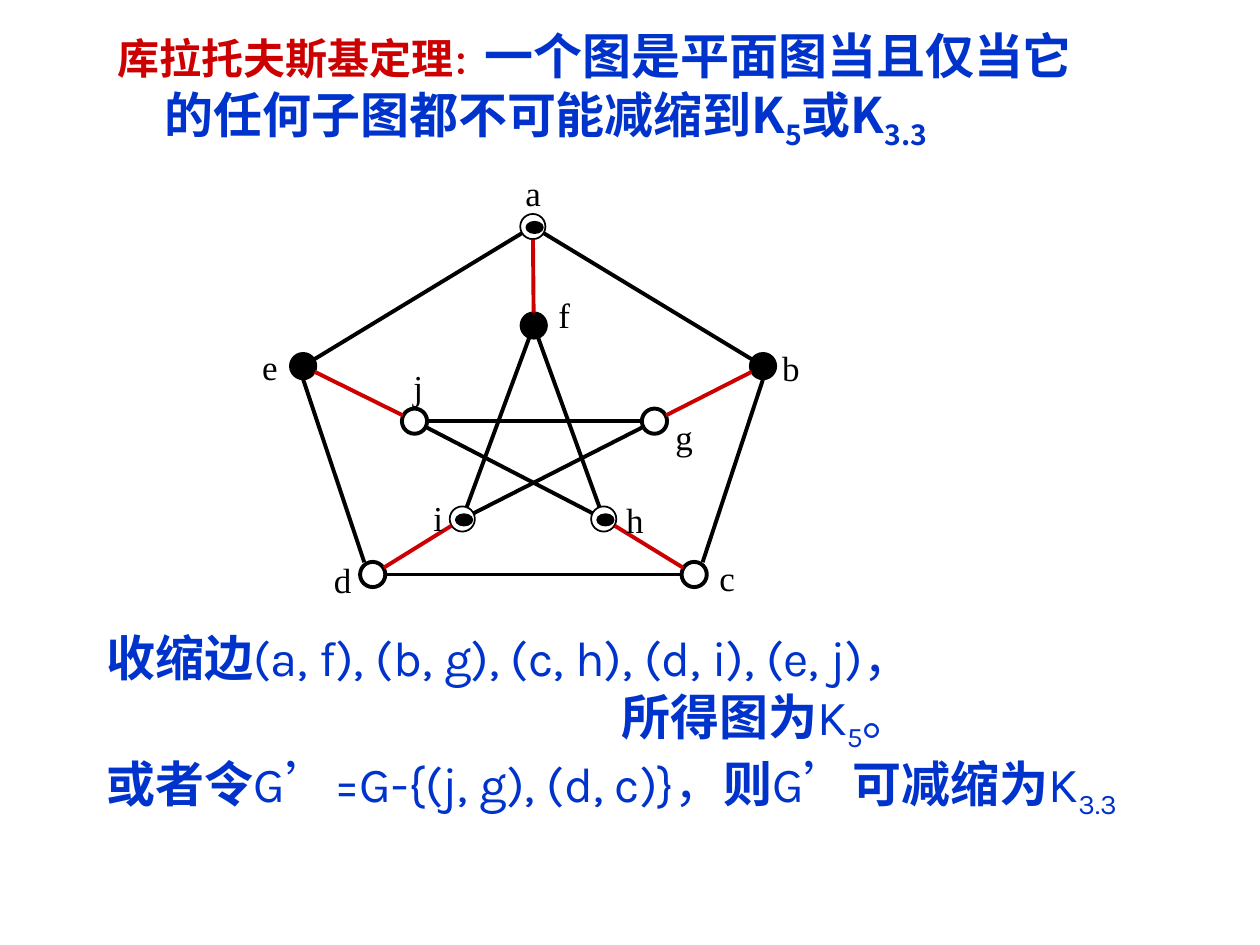
from math import hypot
from lxml.etree import SubElement
from pptx import Presentation
from pptx.dml.color import RGBColor
from pptx.enum.shapes import MSO_CONNECTOR as Link, MSO_SHAPE as Shape
from pptx.enum.text import MSO_ANCHOR as Anchor, MSO_AUTO_SIZE as Auto
from pptx.oxml.ns import qn
from pptx.util import Pt

RED = RGBColor(0xCC, 0, 0)
BLUE = RGBColor(0, 0x33, 0xCC)
BLACK = RGBColor(0, 0, 0)
CJK, SERIF, SANS = "Noto Sans CJK SC", "Times New Roman", "Karla"

# Text runs: text, size, font, colour, bold, subscript
THEOREM = [
    ("库拉托夫斯基定理", 24, "Arial", RED, True, False),
    ("：", 18, "Arial", RED, True, False),
    ("一个图是平面图当且仅当它的任何子图都不可能减缩到K", 28, CJK, BLUE, True, False),
    ("5", 28, CJK, BLUE, True, True),
    ("或K", 28, CJK, BLUE, True, False),
    ("3.3", 28, CJK, BLUE, True, True),
]
# Conclusion: first-line indent, then runs of text, bold, subscript
RESULT = [
    (0, [("收缩边", True, False),
         ("(a, f), (b, g), (c, h), (d, i), (e, j)，", False, False)]),
    (294, [("所得图为", True, False), ("K", False, False),
           ("5", False, True), ("。", False, False)]),
    (0, [("或者令", True, False), ("G’=G-{(j, g), (d, c)}，", False, False),
         ("则", True, False), ("G’", False, False), ("可减缩为", True, False),
         ("K", False, False), ("3.3", False, True)]),
]
# Vertices: centre, kind, label corner
NODES = {
    "a": (304.5, 129.5, "ring", 300.2, 97.9),
    "b": (436, 209.2, "full", 447, 198),
    "c": (396.7, 328.3, "open", 411.1, 318.2),
    "d": (213, 328.3, "open", 190.8, 319),
    "e": (173.2, 209.2, "full", 149.8, 197.3),
    "f": (305, 186, "full", 319, 167.8),
    "g": (374, 240.7, "open", 386, 237.6),
    "h": (345, 296.6, "ring", 357.8, 285.1),
    "i": (264.2, 296.6, "ring", 247.7, 283.7),
    "j": (236.9, 240.7, "open", 236.2, 208.8),
}
OUTER = ["ea", "ab", "cb", "ed", "dc"]
STAR = ["if", "fh", "jg", "jh", "ig"]
SPOKES = ["af", "bg", "ch", "di", "ej"]
SHIFT = {"cb": 2.5, "ed": -2.5}  # steep sides sit slightly outward
RADIUS = 7.4


def add_run(para, text, size, name, color, bold=False, sub=False):
    run = para.add_run()
    run.text = text
    font = run.font
    font.size, font.name, font.bold = Pt(size), name, bold
    font.color.rgb = color
    props = run._r.get_or_add_rPr()
    SubElement(props, qn("a:ea")).set("typeface", SERIF if name == SERIF else CJK)
    if sub:
        props.set("baseline", "-25000")


def add_oval(group, x, y, w, h, weight, filled):
    oval = group.shapes.add_shape(
        Shape.OVAL, Pt(x - w / 2), Pt(y - h / 2), Pt(w), Pt(h))
    oval.shadow.inherit = False
    oval.line.color.rgb = BLACK
    oval.line.width = Pt(weight)
    if filled:
        oval.fill.solid()
        oval.fill.fore_color.rgb = BLACK
    else:
        oval.fill.background()


def add_node(group, x, y, kind):
    if kind == "ring":
        add_oval(group, x + 1, y + 0.5, 9.4, 6.5, 1, True)
    weight = 2.25 if kind == "open" else 1
    size = 15.1 if kind == "full" else 14.4
    add_oval(group, x, y, size, size, weight, kind == "full")


def add_edge(group, pair, color):
    (x1, y1), (x2, y2) = (NODES[key][:2] for key in pair)
    dist = hypot(x2 - x1, y2 - y1)
    dx, dy = RADIUS * (x2 - x1) / dist, RADIUS * (y2 - y1) / dist
    move = SHIFT.get(pair, 0)
    edge = group.shapes.add_connector(
        Link.STRAIGHT, Pt(x1 + dx + move), Pt(y1 + dy),
        Pt(x2 - dx + move), Pt(y2 - dy))
    edge.line.color.rgb = color
    edge.line.width = Pt(2.25)
    SubElement(edge._element.spPr, qn("a:effectLst"))


def add_label(group, key, x, y):
    box = group.shapes.add_textbox(Pt(x), Pt(y), Pt(10), Pt(24))
    frame = box.text_frame
    frame.margin_left = frame.margin_right = 0
    frame.margin_top = frame.margin_bottom = 0
    frame.word_wrap = False
    add_run(frame.paragraphs[0], key, 20, SERIF, BLACK)


deck = Presentation()
deck.slide_width, deck.slide_height = Pt(720), Pt(540)
slide = deck.slides.add_slide(deck.slide_layouts[1])
title, body = slide.placeholders
title._element.getparent().remove(title._element)

# Theorem
body.left, body.top, body.width, body.height = Pt(59.8), Pt(15), Pt(574.6), Pt(96.5)
frame = body.text_frame
frame.auto_size = Auto.NONE
frame.vertical_anchor = Anchor.TOP
para = frame.paragraphs[0]
para.line_spacing, para.space_before = 0.9, Pt(7)
props = para._p.get_or_add_pPr()
props.set("marL", str(Pt(27)))
props.set("indent", str(Pt(-27)))
SubElement(props, qn("a:buNone"))
for run in THEOREM:
    add_run(para, *run)

# Petersen graph
graph = slide.shapes.add_group_shape()
for x, y, kind, *corner in NODES.values():
    add_node(graph, x, y, kind)
for pairs, color in ((OUTER, BLACK), (STAR, BLACK), (SPOKES, RED)):
    for pair in pairs:
        add_edge(graph, pair, color)
for key, (*node, x, y) in NODES.items():
    add_label(graph, key, x, y)

# Conclusion
box = slide.shapes.add_textbox(Pt(54), Pt(355), Pt(623.5), Pt(117.4))
frame = box.text_frame
frame.word_wrap = True
for num, (indent, runs) in enumerate(RESULT):
    para = frame.add_paragraph() if num else frame.paragraphs[0]
    para._p.get_or_add_pPr().set("indent", str(Pt(indent)))
    for text, bold, sub in runs:
        add_run(para, text, 28, SANS, BLUE, bold, sub)

deck.save("out.pptx")
